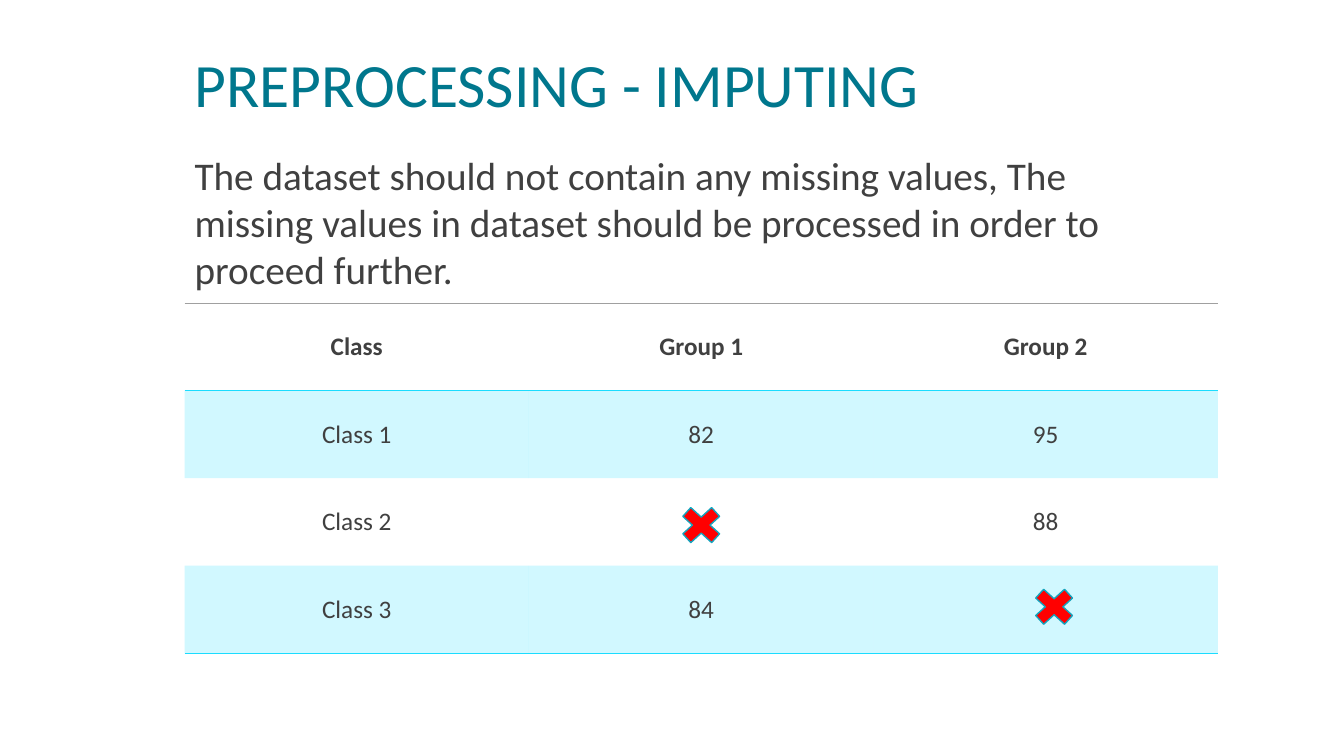
from lxml.etree import SubElement as Sub
from pptx import Presentation
from pptx.dml.color import RGBColor
from pptx.enum.shapes import MSO_SHAPE as Shape
from pptx.enum.text import MSO_ANCHOR as Anchor, MSO_AUTO_SIZE as Fit, PP_ALIGN as Align
from pptx.oxml.ns import qn
from pptx.util import Inches, Pt

TEAL = RGBColor(0x00, 0x77, 0x8D)
DARK = RGBColor(0x40, 0x40, 0x40)
CYAN = RGBColor(0x1B, 0xDC, 0xFF)
GREY = RGBColor(0xA0, 0xA0, 0xA0)
RED = RGBColor(0xFF, 0x00, 0x00)
EDGE = RGBColor(0x14, 0xA3, 0xBD)
PLAIN = "{2D5ABB26-0587-4C30-8999-92F81FD0307C}"
ROWS = [
    ["Class", "Group 1", "Group 2"],
    ["Class 1", "82", "95"],
    ["Class 2", "", "88"],
    ["Class 3", "84", ""],
]


def style(item, form):
    for name, value in form.items():
        setattr(item, name, value)


def write(frame, text, size, color, bold=False, **form):
    para = frame.paragraphs[0]
    run = para.add_run()
    run.text = text
    style(run.font, {"name": "Calibri", "size": Pt(size), "bold": bold})
    run.font.color.rgb = color
    style(para, {"space_before": Pt(0), **form})
    return para


def place(item, box):
    style(item, dict(zip(("left", "top", "width", "height"), map(Inches, box))))


def head(slide, box):
    title = slide.shapes.title
    place(title, box)
    frame = title.text_frame
    style(frame, {"vertical_anchor": Anchor.BOTTOM, "word_wrap": True, "auto_size": Fit.NONE})
    write(frame, "PREPROCESSING - IMPUTING", 44, TEAL, alignment=Align.LEFT, line_spacing=0.85)


def body(slide, box):
    hold = slide.placeholders[1]
    place(hold, box)
    frame = hold.text_frame
    style(frame, {"vertical_anchor": Anchor.TOP, "word_wrap": True, "auto_size": Fit.NONE})
    para = write(
        frame,
        "The dataset should not contain any missing values, The missing values in dataset "
        "should be processed in order to proceed further.",
        28, DARK, alignment=Align.LEFT, line_spacing=1.0)
    props = para._p.get_or_add_pPr()
    props.set("marL", "0")
    props.set("indent", "0")
    Sub(props, qn("a:buNone"))


def rule(cell, side, color):
    line = Sub(cell._tc.get_or_add_tcPr(), qn("a:" + side), w=str(Pt(1)))
    Sub(Sub(line, qn("a:solidFill")), qn("a:srgbClr"), val=str(color))


def tint(cell):
    cell.fill.solid()
    cell.fill.fore_color.rgb = CYAN
    shade = cell._tc.tcPr.find(".//" + qn("a:solidFill") + "[last()]/" + qn("a:srgbClr"))
    Sub(shade, qn("a:alpha"), val="20000")


def grid(slide, box):
    left, top, width, height = map(Inches, box)
    table = slide.shapes.add_table(len(ROWS), len(ROWS[0]), left, top, width, height).table
    table._tbl.tblPr.find(qn("a:tableStyleId")).text = PLAIN
    table.horz_banding = False
    for i, row in enumerate(ROWS):
        for j, text in enumerate(row):
            cell = table.cell(i, j)
            cell.vertical_anchor = Anchor.MIDDLE
            if text:
                write(cell.text_frame, text, 18, DARK, i == 0, alignment=Align.CENTER)
            if i % 2:
                tint(cell)
            else:
                cell.fill.background()
            fill = cell._tc.tcPr[0]
            if i == 0:
                rule(cell, "lnT", GREY)
            if i in (0, len(ROWS) - 1):
                rule(cell, "lnB", CYAN)
            cell._tc.tcPr.append(fill)


def cross(slide, box):
    mark = slide.shapes.add_shape(Shape.MATH_MULTIPLY, *map(Inches, box))
    mark.shadow.inherit = False
    mark.fill.solid()
    mark.fill.fore_color.rgb = RED
    mark.line.color.rgb = EDGE
    mark.line.width = Pt(1)


def main():
    deck = Presentation()
    style(deck, {"slide_width": Inches(13.33), "slide_height": Inches(7.5)})
    slide = deck.slides.add_slide(deck.slide_layouts[1])
    head(slide, (1.83, 0.44, 10.25, 0.8))
    grid(slide, (1.83, 3.01, 10.25, 3.47))
    for left, top in ((6.68, 4.96), (10.18, 5.77)):
        cross(slide, (left, top, 0.55, 0.5))
    body(slide, (1.83, 1.45, 10.05, 1.51))
    deck.save("out.pptx")


if __name__ == "__main__":
    main()
